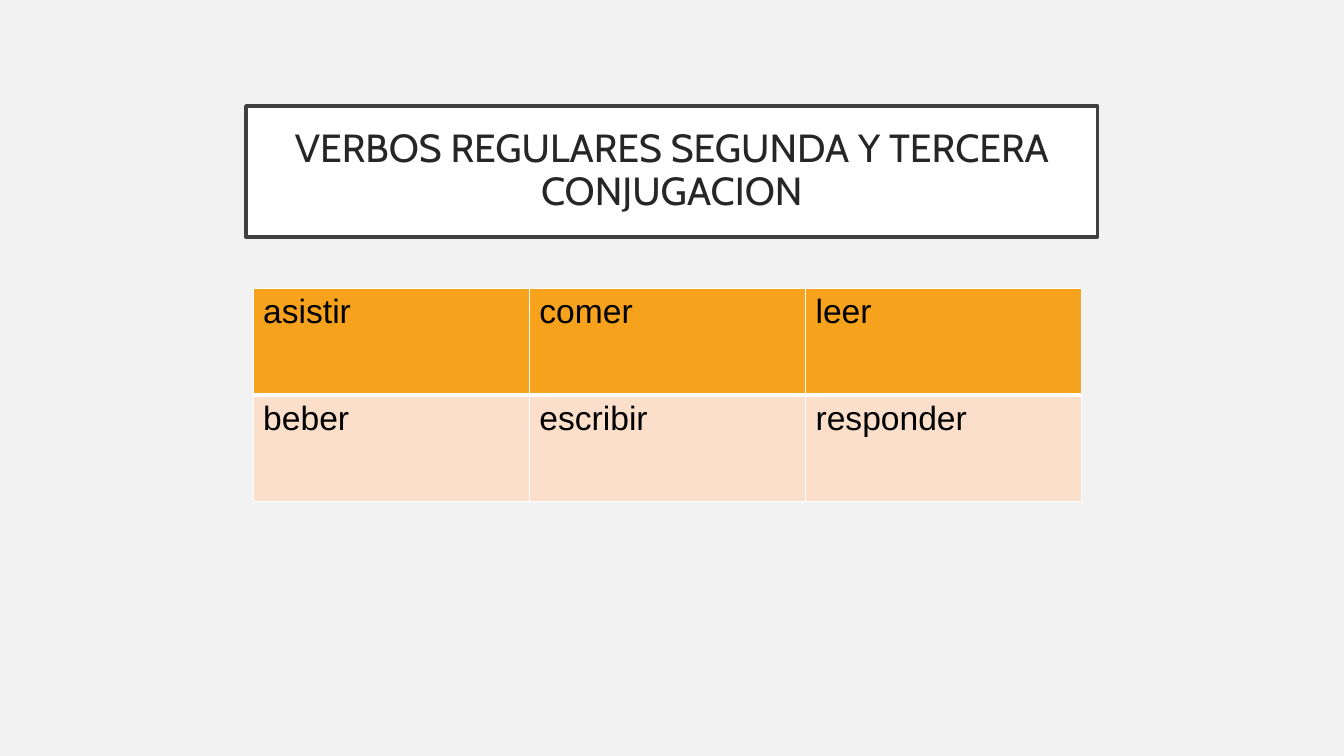
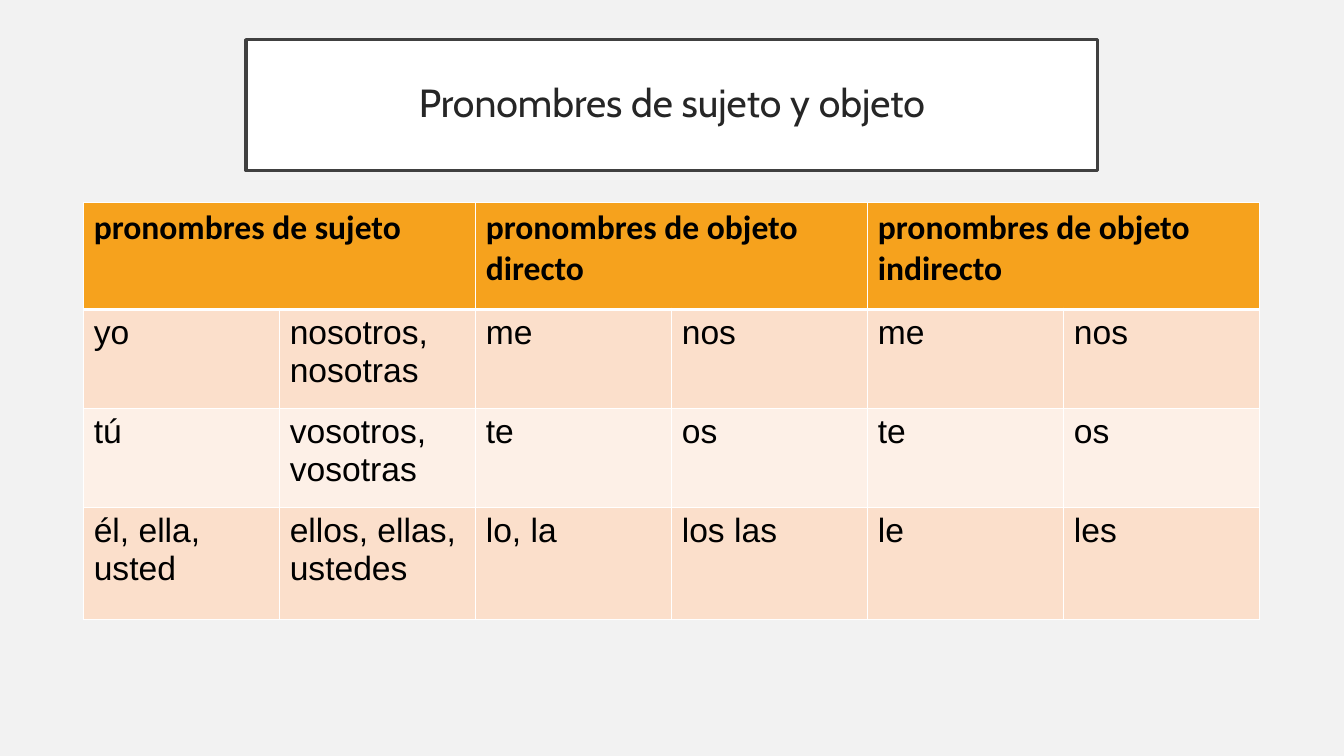
"""Build two Spanish grammar slides: regular verbs and pronouns."""
from lxml import etree
from pptx import Presentation
from pptx.dml.color import RGBColor
from pptx.enum.text import MSO_ANCHOR, MSO_AUTO_SIZE, PP_ALIGN
from pptx.oxml.ns import qn
from pptx.util import Cm, Pt

MIDDLE, CENTER, NO_FIT = MSO_ANCHOR.MIDDLE, PP_ALIGN.CENTER, MSO_AUTO_SIZE.NONE

SLIDES = [
    {
        "title": "VERBOS REGULARES SEGUNDA Y TERCERA CONJUGACION",
        "title_top": 2.67,
        "origin": (6.38, 7.26),
        "column_width": 6.96,
        "row_heights": [2.69, 2.69],
        "header_span": 1,
        "header_font": {"name": "Arial", "bold": False},
        "header": ["asistir", "comer", "leer"],
        "body": [["beber", "escribir", "responder"]],
    },
    {
        "title": "Pronombres de sujeto y objeto",
        "title_top": 1.0,
        "origin": (2.11, 5.11),
        "column_width": 4.94,
        "row_heights": [2.69, 2.49, 2.49, 2.84],
        "header_span": 2,
        "header_font": {"name": "Calibri", "bold": True},
        "header": [
            "pronombres de sujeto",
            "pronombres de objeto directo",
            "pronombres de objeto indirecto",
        ],
        "body": [
            ["yo", "nosotros, nosotras", "me", "nos", "me", "nos"],
            ["tú", "vosotros, vosotras", "te", "os", "te", "os"],
            ["él, ella, usted", "ellos, ellas, ustedes", "lo, la", "los las", "le", "les"],
        ],
    },
]

BACKGROUND, WHITE, BLACK = "F2F2F2", "FFFFFF", "000000"
TITLE_LINE, TITLE_TEXT = "404040", "262626"
HEADER_FILL, BAND_FILLS = "F6A21D", ["FBDFCB", "FDF0E7"]
TITLE_FONT = {"name": "Cabin", "size": Pt(28), "bold": False}
BODY_FONT = {"name": "Arial", "bold": False}
TITLE_FRAME = {
    "word_wrap": True, "auto_size": NO_FIT, "vertical_anchor": MIDDLE,
    "margin_left": Cm(0.51), "margin_right": Cm(0.51),
    "margin_top": Cm(0.51), "margin_bottom": Cm(0.51),
}
TITLE_PARAGRAPH = {"alignment": CENTER, "line_spacing": 0.9}
THIN, THICK = 1, 3


def set_all(target, values):
    for attribute, value in values.items():
        setattr(target, attribute, value)


def paint(fill, color):
    fill.solid()
    fill.fore_color.rgb = RGBColor.from_string(color)


def style_font(font, values, color):
    set_all(font, values)
    font.color.rgb = RGBColor.from_string(color)


def add_title(slide, text, top):
    title = slide.shapes.title
    set_all(title, {"left": Cm(6.2), "top": Cm(top), "width": Cm(21.46), "height": Cm(3.3)})
    paint(title.fill, WHITE)
    paint(title.line.fill, TITLE_LINE)
    title.line.width = Pt(2.5)
    frame = title.text_frame
    frame.text = text
    set_all(frame, TITLE_FRAME)
    paragraph = frame.paragraphs[0]
    set_all(paragraph, TITLE_PARAGRAPH)
    style_font(paragraph.runs[0].font, TITLE_FONT, TITLE_TEXT)


def add_borders(cell, widths):
    properties = cell._tc.get_or_add_tcPr()
    for side, width in widths.items():
        border = etree.SubElement(properties, qn(f"a:ln{side}"), w=str(Pt(width)))
        color = etree.SubElement(etree.SubElement(border, qn("a:solidFill")), qn("a:srgbClr"))
        color.set("val", WHITE)


def format_cell(cell, row_index, header_font):
    is_header = row_index == 0
    add_borders(cell, {
        "L": THIN, "R": THIN,
        "T": THICK if row_index == 1 else THIN,
        "B": THICK if is_header else THIN,
    })
    paint(cell.fill, HEADER_FILL if is_header else BAND_FILLS[(row_index - 1) % 2])
    font_values = header_font if is_header else BODY_FONT
    for run in cell.text_frame.paragraphs[0].runs:
        style_font(run.font, {**font_values, "size": Pt(24)}, BLACK)


def add_word_table(slide, content):
    span, heights = content["header_span"], content["row_heights"]
    column_count = len(content["body"][0])
    left, top = content["origin"]
    width = content["column_width"] * column_count
    table = slide.shapes.add_table(
        len(heights), column_count, Cm(left), Cm(top), Cm(width), Cm(sum(heights))
    ).table
    for column in table.columns:
        column.width = Cm(content["column_width"])
    for row, height in zip(table.rows, heights):
        row.height = Cm(height)
    for index, heading in enumerate(content["header"]):
        first = index * span
        if span > 1:
            table.cell(0, first).merge(table.cell(0, first + span - 1))
        table.cell(0, first).text = heading
    for row_index, words in enumerate(content["body"], 1):
        for column_index, word in enumerate(words):
            table.cell(row_index, column_index).text = word
    for row_index, row in enumerate(table.rows):
        for cell in row.cells:
            format_cell(cell, row_index, content["header_font"])


def main():
    deck = Presentation()
    deck.slide_width, deck.slide_height = Cm(33.87), Cm(19.05)
    paint(deck.slide_master.background.fill, BACKGROUND)
    title_only = deck.slide_layouts.get_by_name("Title Only")
    for content in SLIDES:
        slide = deck.slides.add_slide(title_only)
        add_title(slide, content["title"], content["title_top"])
        add_word_table(slide, content)
    deck.save("out.pptx")


if __name__ == "__main__":
    main()
